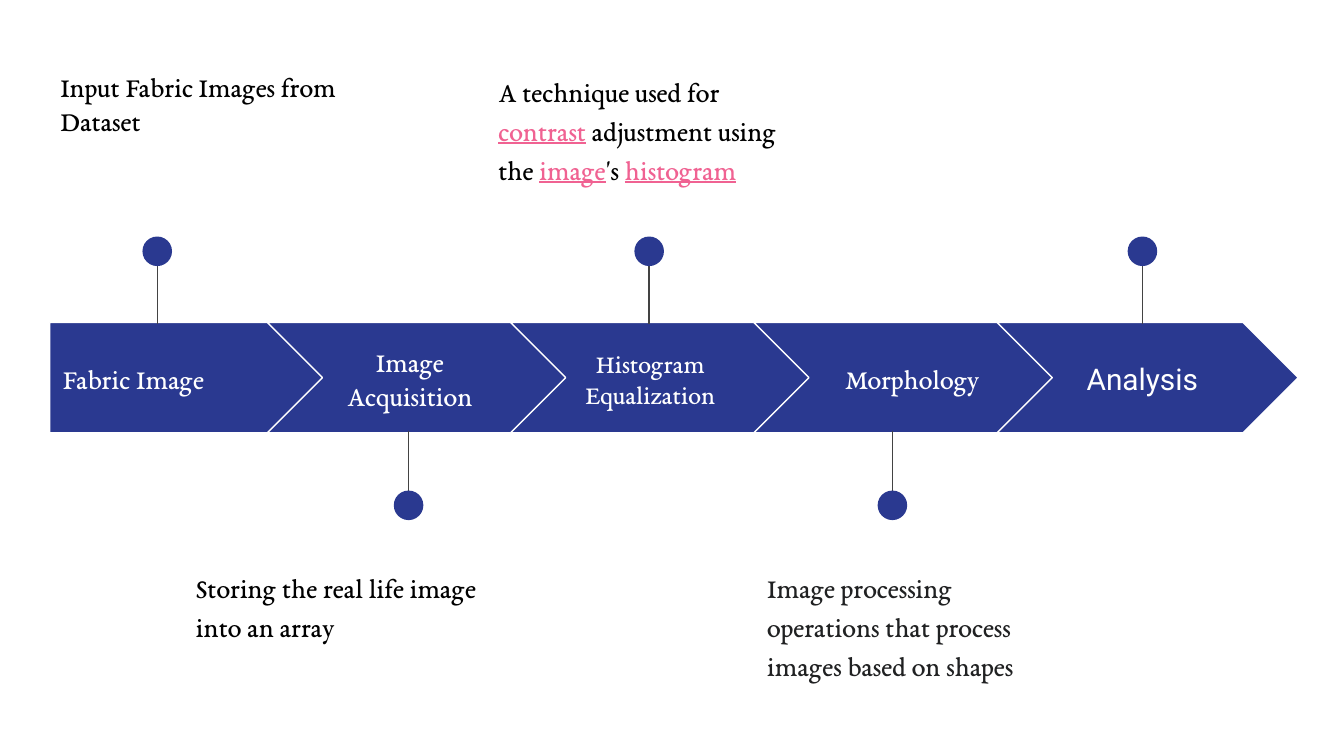
import pptx
import pptx.util
import pptx.dml.color
import pptx.oxml.ns
import lxml.etree
from pptx.enum.shapes import MSO_CONNECTOR, MSO_SHAPE
from pptx.enum.text import MSO_ANCHOR, MSO_AUTO_SIZE, PP_ALIGN

Inches = pptx.util.Inches
Pt = pptx.util.Pt

NAVY, WHITE, GREY, PINK, BLACK = "2A3990", "FFFFFF", "434343", "F06292", "000000"
SERIF = "EB Garamond"
LEFT, TOP, HIGH = 0.37, 2.4, 0.82
PITCH, WIDE = 1.81, 2.24
DOT = 0.22
LEFT_AL, MID_AL = PP_ALIGN.LEFT, PP_ALIGN.CENTER

# label, font, size, alignment, label left, label width, pin centre
STEPS = [
    ("Fabric Image", SERIF, 15, LEFT_AL, 0.37, 1.59, 1.17),
    ("Image Acquisition", SERIF, 15, MID_AL, 2.33, 1.44, 3.04),
    ("Histogram Equalization", SERIF, 14, MID_AL, 4.12, 1.44, 4.83),
    ("Morphology", SERIF, 15, LEFT_AL, 6.19, 1.44, 6.64),
    ("Analysis", "Roboto", 16, MID_AL, 7.78, 1.44, 8.5),
]

# left, top, line spacing, space after, text runs with their colours
NOTES = [
    (0.35, 0.42, 1.0, 0, [("Input Fabric Images from Dataset", BLACK)]),
    (1.36, 4.11, 1.15, 16,
     [("Storing the real life image into an array", BLACK)]),
    (3.61, 0.42, 1.15, 16,
     [("A technique used for ", BLACK), ("contrast", PINK),
      (" adjustment using the ", BLACK), ("image", PINK),
      ("'s ", BLACK), ("histogram", PINK)]),
    (5.61, 4.11, 1.15, 16,
     [("Image processing operations that process images based on shapes",
       "202122")]),
]


def rgb(code):
    return pptx.dml.color.RGBColor.from_string(code)


def add_solid(slide, kind, left, top, wide, high, line=None):
    shape = slide.shapes.add_shape(
        kind, Inches(left), Inches(top), Inches(wide), Inches(high))
    shape.shadow.inherit = False
    shape.fill.solid()
    shape.fill.fore_color.rgb = rgb(NAVY)
    if line:
        shape.line.color.rgb = rgb(line)
        shape.line.width = Pt(0.75)
    else:
        shape.line.fill.background()
    return shape


def add_text(slide, left, top, wide, high, anchor):
    """Add an empty wrapped text box and return its first paragraph."""
    box = slide.shapes.add_textbox(
        Inches(left), Inches(top), Inches(wide), Inches(high))
    frame = box.text_frame
    frame.word_wrap = True
    frame.auto_size = MSO_AUTO_SIZE.NONE
    frame.vertical_anchor = anchor
    frame.margin_left = frame.margin_right = Inches(0.1)
    frame.margin_top = frame.margin_bottom = Inches(0.1)
    return frame.paragraphs[0]


def add_arrow(slide, index):
    left = LEFT + PITCH * index
    if index == 0:
        kind, wide = MSO_SHAPE.PENTAGON, 2.05
    else:
        kind, left, wide = MSO_SHAPE.CHEVRON, left - 0.19, WIDE
    arrow = add_solid(slide, kind, left, TOP, wide, HIGH, WHITE)
    arrow.adjustments[0] = 0.5


def add_label(slide, text, font, size, align, left, wide):
    para = add_text(slide, left, TOP + 0.16, wide, 0.51, MSO_ANCHOR.MIDDLE)
    para.text = text
    para.alignment = align
    para.font.name = font
    para.font.size = Pt(size)
    para.font.color.rgb = rgb(WHITE)


def add_pin(slide, centre, above):
    """Join a dot to the upper or lower edge of the arrow row."""
    if above:
        dot, start, end = 1.76, 1.8, TOP + 0.01
    else:
        dot, start, end = 3.65, 3.82, TOP + HIGH - 0.01
    stem = slide.shapes.add_connector(
        MSO_CONNECTOR.STRAIGHT, Inches(centre), Inches(start),
        Inches(centre), Inches(end))
    stem.line.color.rgb = rgb(GREY)
    stem.line.width = Pt(0.75)
    lxml.etree.SubElement(
        stem._element.spPr, pptx.oxml.ns.qn("a:effectLst"))
    add_solid(slide, MSO_SHAPE.OVAL, centre - DOT / 2, dot, DOT, DOT)


def add_note(slide, left, top, spacing, after, parts):
    para = add_text(slide, left, top, 2.45, 0.99, MSO_ANCHOR.TOP)
    para.line_spacing = spacing
    para.space_after = Pt(after)
    para.font.name = SERIF
    para.font.size = Pt(15)
    for text, code in parts:
        run = para.add_run()
        run.text = text
        run.font.color.rgb = rgb(code)
        if code == PINK:
            run.font.underline = True


def main():
    deck = pptx.Presentation()
    deck.slide_width = Inches(10)
    deck.slide_height = Inches(10 * 9 / 16)
    slide = deck.slides.add_slide(deck.slide_layouts[6])
    for index, (text, font, size, align, left, wide, centre) in enumerate(STEPS):
        add_arrow(slide, index)
        add_label(slide, text, font, size, align, left, wide)
        add_pin(slide, centre, above=index % 2 == 0)
        if index < len(NOTES):
            add_note(slide, *NOTES[index])
    deck.save("out.pptx")


if __name__ == "__main__":
    main()
